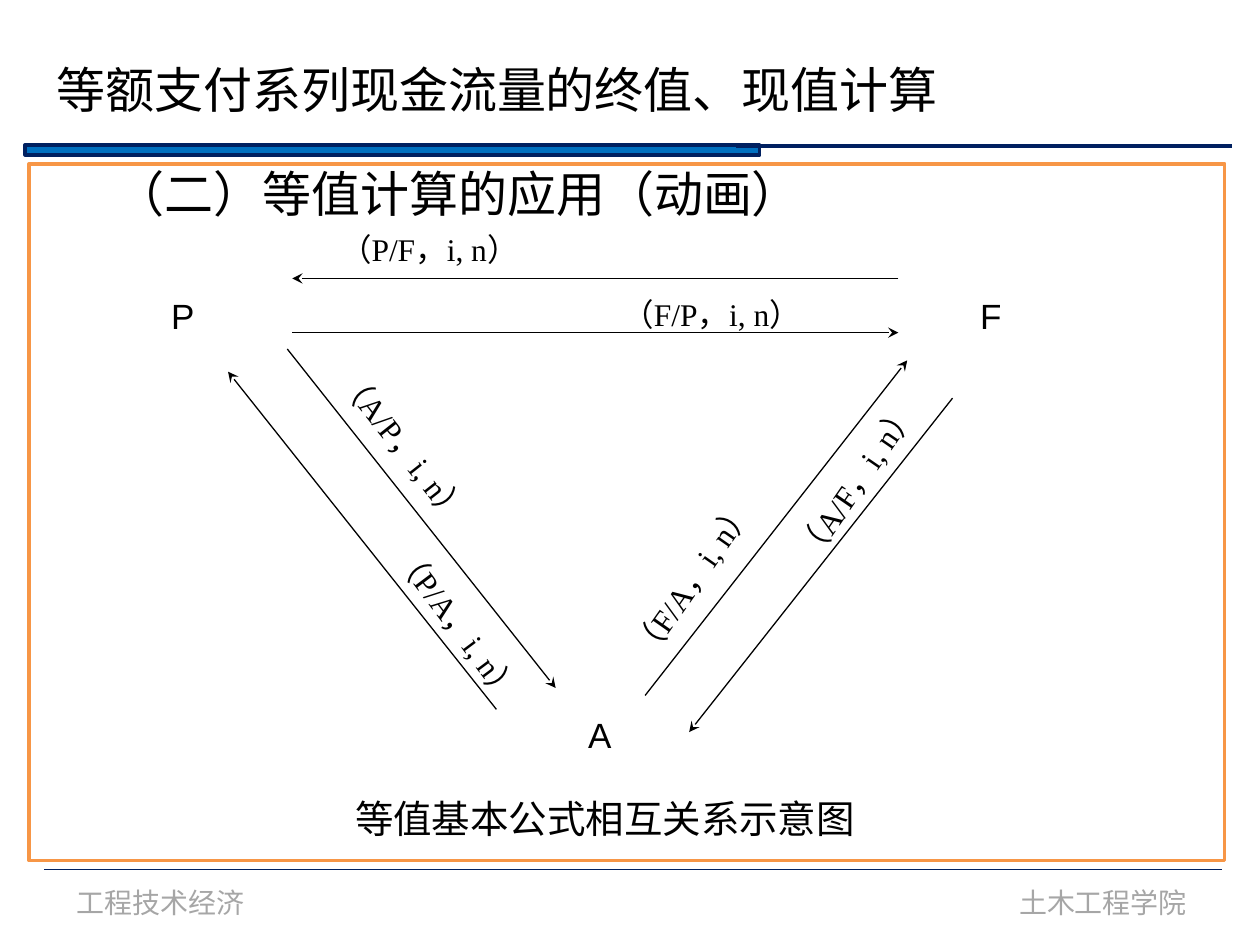
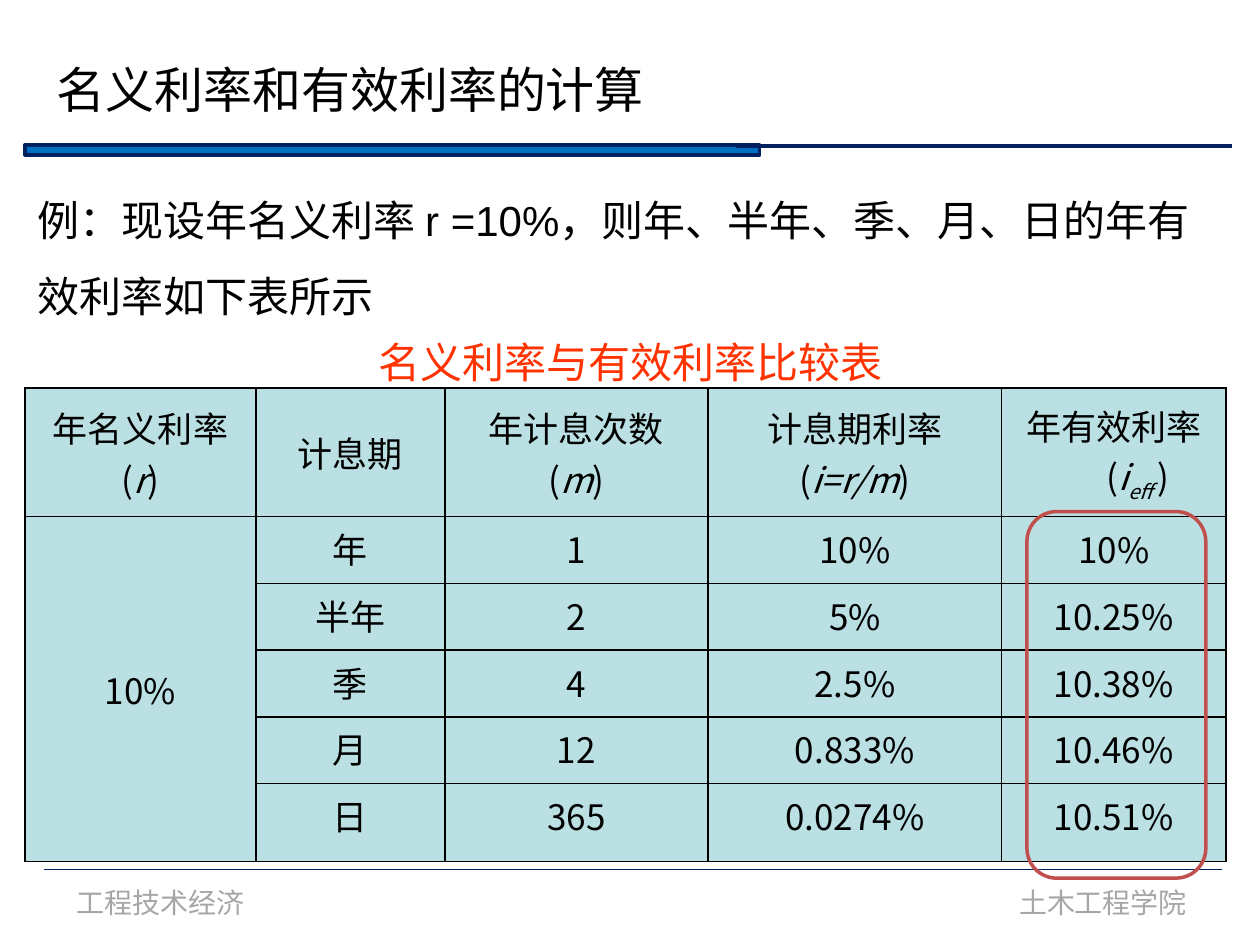
from lxml import etree
from pptx import Presentation
from pptx.dml.color import RGBColor
from pptx.enum import shapes, text
from pptx.oxml import ns
from pptx.util import Inches, Pt

BLACK, WHITE, NAVY, BLUE = "000000", "FFFFFF", "002060", "0070C0"
GREY, ORANGE, RED, BRICK, TEAL = "A6A6A6", "F79646", "FF3300", "C0504D", "BBE0E3"
CJK, ARIAL, TIMES, CALIBRI = "Noto Sans CJK SC", "Arial", "Times New Roman", "Calibri"


def color(hex_text):
    return RGBColor.from_string(hex_text)


def add_xml(parent, tag, **attributes):
    return etree.SubElement(parent, ns.qn(tag), attributes)


def place(shape, box):
    shape.left, shape.top, shape.width, shape.height = (Inches(value) for value in box)


def set_line(shape, hex_text, width):
    shape.line.color.rgb = color(hex_text)
    shape.line.width = Pt(width)


def format_paragraph(paragraph, font_name, size, hex_text=BLACK):
    for run in paragraph.runs:
        run.font.name = font_name
        run.font.size = Pt(size)
        run.font.color.rgb = color(hex_text)
        add_xml(run._r.get_or_add_rPr(), "a:ea", typeface=CJK)


def set_indent(paragraph, left, first=0):
    properties = paragraph._p.get_or_add_pPr()
    properties.set("marL", str(Inches(left)))
    properties.set("indent", str(Inches(first)))


def format_body(paragraph, size, hex_text=BLACK, left=0, font_name=CJK):
    """Turn a bulleted body paragraph into a plain one."""
    format_paragraph(paragraph, font_name, size, hex_text)
    set_indent(paragraph, left)
    paragraph.space_before = Pt(0)
    add_xml(paragraph._p.get_or_add_pPr(), "a:buNone")


def add_label(slide, wording, box, font_name, size, hex_text=BLACK, wrap=True, grow=False):
    label = slide.shapes.add_textbox(*(Inches(value) for value in box))
    frame = label.text_frame
    frame.text = wording
    frame.word_wrap = wrap
    if grow:
        frame.auto_size = text.MSO_AUTO_SIZE.SHAPE_TO_FIT_TEXT
    format_paragraph(frame.paragraphs[0], font_name, size, hex_text)
    return label


def add_line(slide, start, end, hex_text=BLACK, width=0.75, arrow=False):
    line = slide.shapes.add_connector(
        shapes.MSO_CONNECTOR.STRAIGHT, *(Inches(value) for value in (*start, *end)))
    set_line(line, hex_text, width)
    if arrow:
        add_xml(line.line._get_or_add_ln(), "a:tailEnd", type="stealth")
    add_xml(line._element.spPr, "a:effectLst")
    return line


def add_outline(slide, preset, box, hex_text, fill=None):
    shape = slide.shapes.add_shape(preset, *(Inches(value) for value in box))
    shape.shadow.inherit = False
    if fill:
        shape.fill.solid()
        shape.fill.fore_color.rgb = color(fill)
    else:
        shape.fill.background()
    set_line(shape, hex_text, 2)
    return shape


def move_frame_to_layout(slide):
    """Draw the title band and footer, then hand them to the slide's layout."""
    layout = slide.slide_layout
    for placeholder in list(layout.placeholders)[2:]:
        placeholder.element.getparent().remove(placeholder.element)
    parts = [
        add_outline(slide, shapes.MSO_SHAPE.RECTANGLE, (0.2, 1.15, 5.83, 0.08), NAVY, BLUE),
        add_line(slide, (5.84, 1.16), (9.78, 1.16), NAVY, 2.25),
        add_line(slide, (0.35, 6.9), (9.7, 6.9), NAVY),
    ]
    for wording, left in (("工程技术经济", 0.51), ("土木工程学院", 7.99)):
        parts.append(add_label(slide, wording, (left, 6.98, 1.55, 0.37),
                               CALIBRI, 16, GREY, wrap=False))
    for part in parts:
        layout.shapes.element.append(part.element)


def set_title(slide, wording, width):
    title = slide.shapes.title
    place(title, (0.35, 0.42, width, 0.57))
    frame = title.text_frame
    frame.text = wording
    frame.word_wrap = False
    frame.auto_size = text.MSO_AUTO_SIZE.NONE
    frame.paragraphs[0].alignment = text.PP_ALIGN.LEFT
    format_paragraph(frame.paragraphs[0], CJK, 28)


def set_body(slide, wording, box):
    body = slide.placeholders[1]
    place(body, box)
    body.text_frame.text = wording
    body.text_frame.auto_size = text.MSO_AUTO_SIZE.NONE
    return body


def add_conversion_diagram(slide, left, top):
    """Triangle of P, F and A joined by pairs of opposite arrows."""
    for name, x, y in (("P", 1.03, 0.99), ("F", 7.45, 0.99), ("A", 4.34, 4.31)):
        add_label(slide, name, (left + x, top + y, 0.56, 0.25), ARIAL, 20)

    arrows = [
        ((6.9, 0.91), (2.09, 0.91)), ((2.09, 1.34), (6.9, 1.34)),
        ((2.05, 1.47), (4.18, 4.16)), ((3.71, 4.33), (1.58, 1.65)),
        ((4.89, 4.22), (6.97, 1.56)), ((7.33, 1.86), (5.24, 4.51)),
    ]
    for start, end in arrows:
        add_line(slide, (left + start[0], top + start[1]),
                 (left + end[0], top + end[1]), arrow=True)

    factors = [
        ("F/P", 4.61, 0.99, 2.32, 0), ("P/F", 2.37, 0.48, 2.32, 0),
        ("F/A", 4.42, 3.07, 1.72, 305), ("A/F", 5.72, 2.29, 1.72, 304.5),
        ("P/A", 2.57, 3.48, 1.72, 53.2), ("A/P", 2.14, 2.07, 1.72, 51.7),
    ]
    for factor, x, y, width, angle in factors:
        label = add_label(slide, f"（{factor}，i, n）", (left + x, top + y, width, 0.4),
                          TIMES, 18, grow=True)
        label.rotation = angle


def build_diagram_slide(slide):
    set_title(slide, "等额支付系列现金流量的终值、现值计算", 7.27)
    left, top = 0.23, 1.3
    panel = set_body(slide, "（二）等值计算的应用（动画）", (left, top, 9.49, 5.53))
    panel.fill.solid()
    panel.fill.fore_color.rgb = color(WHITE)
    set_line(panel, ORANGE, 2)
    heading = panel.text_frame.paragraphs[0]
    heading.line_spacing = 0.9
    format_body(heading, 28, left=0.59)
    add_label(slide, "等值基本公式相互关系示意图", (left + 2.49, top + 4.96, 4.72, 0.57), TIMES, 22)
    add_conversion_diagram(slide, left, top)


def format_cell(cell, anchor):
    cell.vertical_anchor = anchor
    cell.fill.solid()
    cell.fill.fore_color.rgb = color(TEAL)
    properties = cell._tc.get_or_add_tcPr()
    for index, side in enumerate("LRTB"):
        border = etree.Element(ns.qn(f"a:ln{side}"), w=str(Pt(1)))
        fill = add_xml(border, "a:solidFill")
        add_xml(fill, "a:srgbClr", val=BLACK)
        properties.insert(index, border)
    for paragraph in cell.text_frame.paragraphs:
        paragraph.alignment = text.PP_ALIGN.CENTER
        set_indent(paragraph, 0.38, -0.38)
        format_paragraph(paragraph, CJK, 20)


def add_symbol(paragraph, symbol, subscript=""):
    """Append the closing part of "(symbol)" with the symbol in italics."""
    run = paragraph.add_run()
    run.text = symbol
    run.font.italic = True
    if subscript:
        run = paragraph.add_run()
        run.text = subscript
        run.font.italic = True
        run._r.get_or_add_rPr().set("baseline", "-25000")
    paragraph.add_run().text = ")"


def add_rate_table(slide, left, top):
    widths = (1.83, 1.5, 2.09, 2.33, 1.78)
    heights = (1.02, 0.53, 0.53, 0.53, 0.53, 0.62)
    headers = (("年名义利率", "r"), ("计息期", ""), ("年计息次数", "m"),
               ("计息期利率", "i=r/m"), ("年有效利率(", "i"))
    rows = (
        ("10%", "年", "1", "10%", "10%"),
        ("", "半年", "2", "5%", "10.25%"),
        ("", "季", "4", "2.5%", "10.38%"),
        ("", "月", "12", "0.833%", "10.46%"),
        ("", "日", "365", "0.0274%", "10.51%"),
    )
    table = slide.shapes.add_table(
        len(heights), len(widths), Inches(left), Inches(top),
        Inches(sum(widths)), Inches(sum(heights))).table
    for column, width in zip(table.columns, widths):
        column.width = Inches(width)
    for row, height in zip(table.rows, heights):
        row.height = Inches(height)

    for index, (heading, symbol) in enumerate(headers):
        frame = table.cell(0, index).text_frame
        frame.text = heading
        if heading.endswith("("):
            add_symbol(frame.paragraphs[0], symbol, "eff ")
        elif symbol:
            paragraph = frame.add_paragraph()
            paragraph.add_run().text = "("
            add_symbol(paragraph, symbol)
    for row_index, values in enumerate(rows, 1):
        for index, value in enumerate(values):
            table.cell(row_index, index).text_frame.text = value
    table.cell(1, 0).merge(table.cell(len(rows), 0))

    for row_index in range(len(heights)):
        for index in range(len(widths)):
            middle = row_index == 0 or index == 0
            format_cell(table.cell(row_index, index),
                        text.MSO_ANCHOR.MIDDLE if middle else text.MSO_ANCHOR.TOP)


def build_rate_slide(slide):
    set_title(slide, "名义利率和有效利率的计算", 4.91)
    body = set_body(
        slide, "例：现设年名义利率 r =10%，则年、半年、季、月、日的年有效利率如下表所示",
        (0.2, 1.3, 9.61, 1.75))
    example = body.text_frame.paragraphs[0]
    example.line_spacing = Pt(43)
    format_body(example, 24, font_name=ARIAL)
    caption = body.text_frame.add_paragraph()
    caption.text = "名义利率与有效利率比较表"
    caption.alignment = text.PP_ALIGN.CENTER
    caption.line_spacing = Pt(38)
    format_body(caption, 24, RED, font_name=ARIAL)
    add_rate_table(slide, 0.2, 3.08)
    add_outline(slide, shapes.MSO_SHAPE.ROUNDED_RECTANGLE, (8.15, 4.06, 1.42, 2.91), BRICK)


def main():
    presentation = Presentation()
    presentation.slide_width, presentation.slide_height = Inches(10), Inches(7.5)
    layout = presentation.slide_layouts[1]
    diagram_slide = presentation.slides.add_slide(layout)
    move_frame_to_layout(diagram_slide)
    build_diagram_slide(diagram_slide)
    build_rate_slide(presentation.slides.add_slide(layout))
    presentation.save("out.pptx")


if __name__ == "__main__":
    main()
